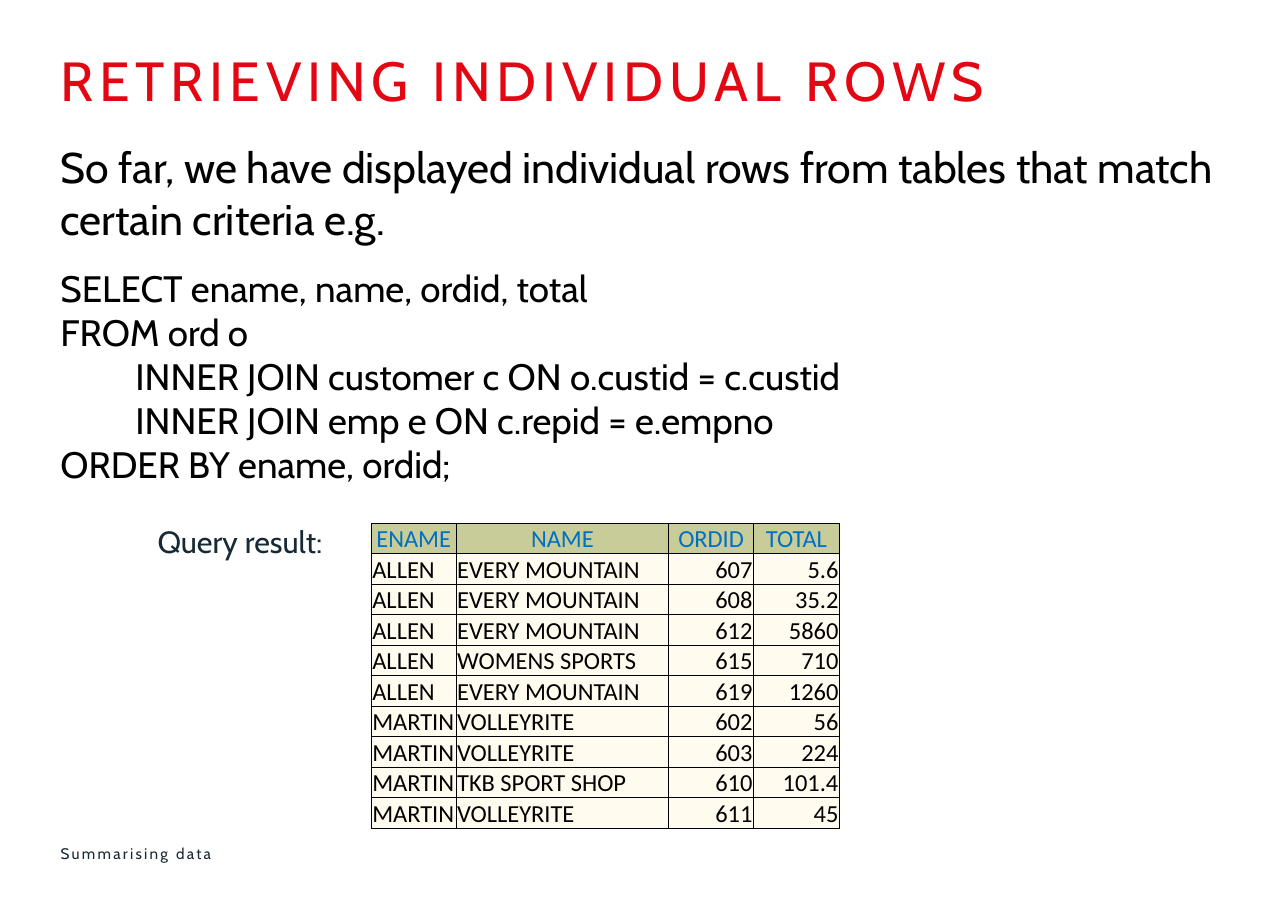
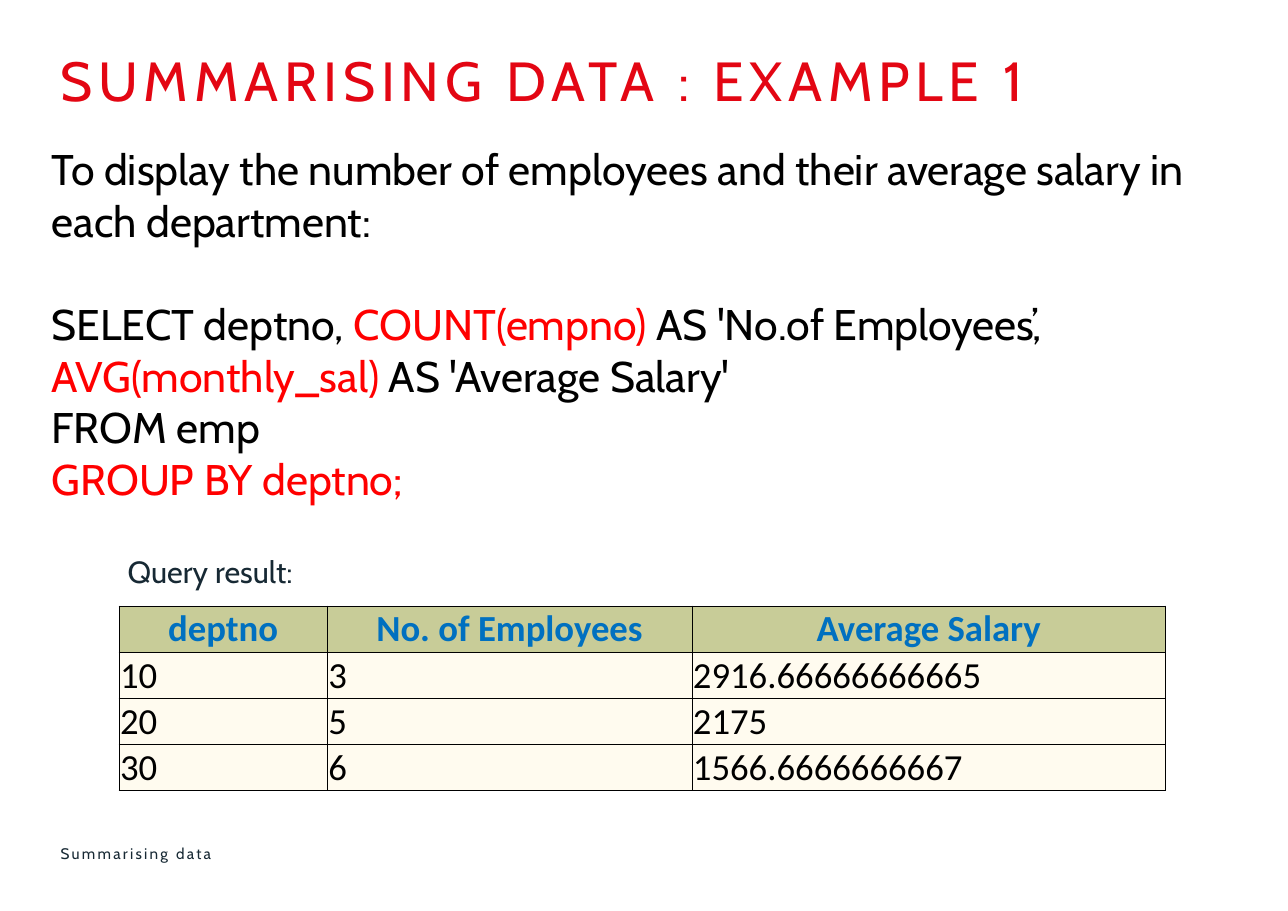
from dataclasses import dataclass

from pptx import Presentation
from pptx.dml.color import RGBColor
from pptx.enum.shapes import MSO_SHAPE as Shape
from pptx.enum.text import MSO_ANCHOR as Anchor, PP_ALIGN as Align
from pptx.oxml import parse_xml
from pptx.oxml.ns import nsdecls
from pptx.util import Inches, Pt


@dataclass(frozen=True)
class Theme:
    red: str = "E30613"
    highlight: str = "FF0000"
    navy: str = "172934"
    black: str = "000000"
    white: str = "FFFFFF"
    header_text: str = "0070C0"
    header_fill: str = "C8CC98"
    row_fill: str = "FFFBEF"
    text_font: str = "Cabin"
    table_font: str = "Calibri"
    title_size: int = 36
    lead_size: int = 28
    code_size: int = 24
    label_size: int = 20
    footer_size: int = 10


THEME = Theme()
FOOTER = "Summarising data"
RESULT_LABEL = "Query result:"
LEFT, CENTER, RIGHT = Align.LEFT, Align.CENTER, Align.RIGHT

# A paragraph is (runs, size, space before in points, left indent in inches);
# a run is (text, colour).
BLACK, HIGHLIGHT = THEME.black, THEME.highlight
LEAD, CODE = THEME.lead_size, THEME.code_size
SLIDES = [
    {
        "title": "RETRIEVING INDIVIDUAL ROWS",
        "body_at": (0.45, 1.23, 10.92, 3.26),
        "body": [
            ([("So far, we have displayed individual rows from tables that match "
               "certain criteria e.g.", BLACK)], LEAD, 0, 0),
            ([("SELECT ename, name, ordid, total", BLACK)], CODE, 14.5, 0),
            ([("FROM ord o", BLACK)], CODE, 0, 0),
            ([("INNER JOIN customer c ON o.custid = c.custid", BLACK)], CODE, 0, 0.68),
            ([("INNER JOIN emp e ON c.repid = e.empno", BLACK)], CODE, 0, 0.68),
            ([("ORDER BY ename, ordid;", BLACK)], CODE, 0, 0),
        ],
        "label_at": (1.43, 4.75, 3.87, 0.34),
        "table": {
            "at": (3.37, 4.75),
            "columns": [0.77, 1.93, 0.77, 0.78],
            "row_height": 0.27,
            "aligns": [LEFT, LEFT, RIGHT, RIGHT],
            "size": 16,
            "bold_header": False,
            "rows": [
                ("ENAME", "NAME", "ORDID", "TOTAL"),
                ("ALLEN", "EVERY MOUNTAIN", "607", "5.6"),
                ("ALLEN", "EVERY MOUNTAIN", "608", "35.2"),
                ("ALLEN", "EVERY MOUNTAIN", "612", "5860"),
                ("ALLEN", "WOMENS SPORTS", "615", "710"),
                ("ALLEN", "EVERY MOUNTAIN", "619", "1260"),
                ("MARTIN", "VOLLEYRITE", "602", "56"),
                ("MARTIN", "VOLLEYRITE", "603", "224"),
                ("MARTIN", "TKB SPORT SHOP", "610", "101.4"),
                ("MARTIN", "VOLLEYRITE", "611", "45"),
            ],
        },
    },
    {
        "title": "SUMMARISING DATA : EXAMPLE 1",
        "body_at": (0.37, 1.25, 10.92, 3.4),
        "body": [
            ([("To display the number of employees and their average salary in "
               "each department:", BLACK)], LEAD, 0, 0),
            ([("SELECT deptno, ", BLACK), ("COUNT(empno) ", HIGHLIGHT),
              ("AS 'No.of Employees’, ", BLACK), ("AVG(monthly_sal) ", HIGHLIGHT),
              ("AS 'Average Salary'", BLACK)], LEAD, 34, 0),
            ([("FROM emp", BLACK)], LEAD, 0, 0),
            ([("GROUP BY deptno;", HIGHLIGHT)], LEAD, 0, 0),
        ],
        "label_at": (1.16, 5.02, 3.87, 0.34),
        "table": {
            "at": (1.08, 5.5),
            "columns": [1.89, 3.31, 4.3],
            "row_height": 0.42,
            "aligns": [LEFT, LEFT, LEFT],
            "size": 24,
            "bold_header": True,
            "rows": [
                ("deptno", "No. of Employees", "Average Salary"),
                ("10", "3", "2916.66666666665"),
                ("20", "5", "2175"),
                ("30", "6", "1566.6666666667"),
            ],
        },
    },
]


def set_all(target, values):
    for name, value in values.items():
        setattr(target, name, value)


def paint(fill, color):
    fill.solid()
    fill.fore_color.rgb = RGBColor.from_string(color)


def add_span(para, text, size, color, font=THEME.text_font, bold=False, spacing=0):
    """Add a run; spacing is the letter spacing in points."""
    span = para.add_run()
    span.text = text
    set_all(span.font, {"name": font, "size": Pt(size), "bold": bold})
    span.font.color.rgb = RGBColor.from_string(color)
    if spacing:
        span.font._element.set("spc", str(round(spacing * 100)))


def add_line(page, at, text, size, color, spacing=0, anchor=Anchor.TOP):
    """Add a text box without insets holding one paragraph."""
    frame = page.shapes.add_textbox(*map(Inches, at)).text_frame
    set_all(frame, {"word_wrap": True, "vertical_anchor": anchor,
                    "margin_left": 0, "margin_top": 0,
                    "margin_right": 0, "margin_bottom": 0})
    add_span(frame.paragraphs[0], text, size, color, spacing=spacing)


def add_body(page, at, paragraphs):
    box = page.shapes.add_shape(Shape.RECTANGLE, *map(Inches, at))
    box.shadow.inherit = False
    paint(box.fill, THEME.white)
    box.line.fill.background()
    frame = box.text_frame
    set_all(frame, {"word_wrap": True, "vertical_anchor": Anchor.TOP})
    for index, (runs, size, before, indent) in enumerate(paragraphs):
        para = frame.add_paragraph() if index else frame.paragraphs[0]
        set_all(para, {"alignment": LEFT, "space_before": Pt(before)})
        if indent:
            para._p.get_or_add_pPr().set("marL", str(Inches(indent)))
        for text, color in runs:
            add_span(para, text, size, color)


def add_borders(cell):
    properties = cell._tc.get_or_add_tcPr()
    for side in ("lnL", "lnR", "lnT", "lnB"):
        properties.append(parse_xml(
            f'<a:{side} {nsdecls("a")} w="{Pt(0.5)}"><a:solidFill>'
            f'<a:srgbClr val="{THEME.black}"/></a:solidFill></a:{side}>'))


def add_result_table(page, at, columns, row_height, aligns, size, bold_header, rows):
    extent = (sum(columns), row_height * len(rows))
    table = page.shapes.add_table(
        len(rows), len(columns), *map(Inches, at + extent)).table
    table.horz_banding = False
    for column, width in zip(table.columns, columns):
        column.width = Inches(width)
    for row_index, values in enumerate(rows):
        header = row_index == 0
        for column_index, value in enumerate(values):
            cell = table.cell(row_index, column_index)
            set_all(cell, {
                "vertical_anchor": Anchor.MIDDLE if header else Anchor.BOTTOM,
                "margin_left": Inches(0.01), "margin_top": Inches(0.01),
                "margin_right": Inches(0.01), "margin_bottom": 0})
            add_borders(cell)
            paint(cell.fill, THEME.header_fill if header else THEME.row_fill)
            para = cell.text_frame.paragraphs[0]
            para.alignment = CENTER if header else aligns[column_index]
            add_span(para, value, size,
                     THEME.header_text if header else THEME.black,
                     THEME.table_font, header and bold_header)


def add_page(deck, content):
    page = deck.slides.add_slide(deck.slide_layouts[6])
    paint(page.background.fill, THEME.white)
    add_line(page, (0.55, 0.42, 10.71, 0.62), content["title"],
             THEME.title_size, THEME.red, spacing=3.8)
    add_body(page, content["body_at"], content["body"])
    add_result_table(page, **content["table"])
    add_line(page, content["label_at"], RESULT_LABEL, THEME.label_size, THEME.navy)
    add_line(page, (0.55, 7.64, 7.29, 0.22), FOOTER, THEME.footer_size,
             THEME.navy, spacing=1.5, anchor=Anchor.MIDDLE)


def main():
    deck = Presentation()
    set_all(deck, {"slide_width": Inches(11.69), "slide_height": Inches(8.27)})
    for content in SLIDES:
        add_page(deck, content)
    deck.save("out.pptx")


if __name__ == "__main__":
    main()
